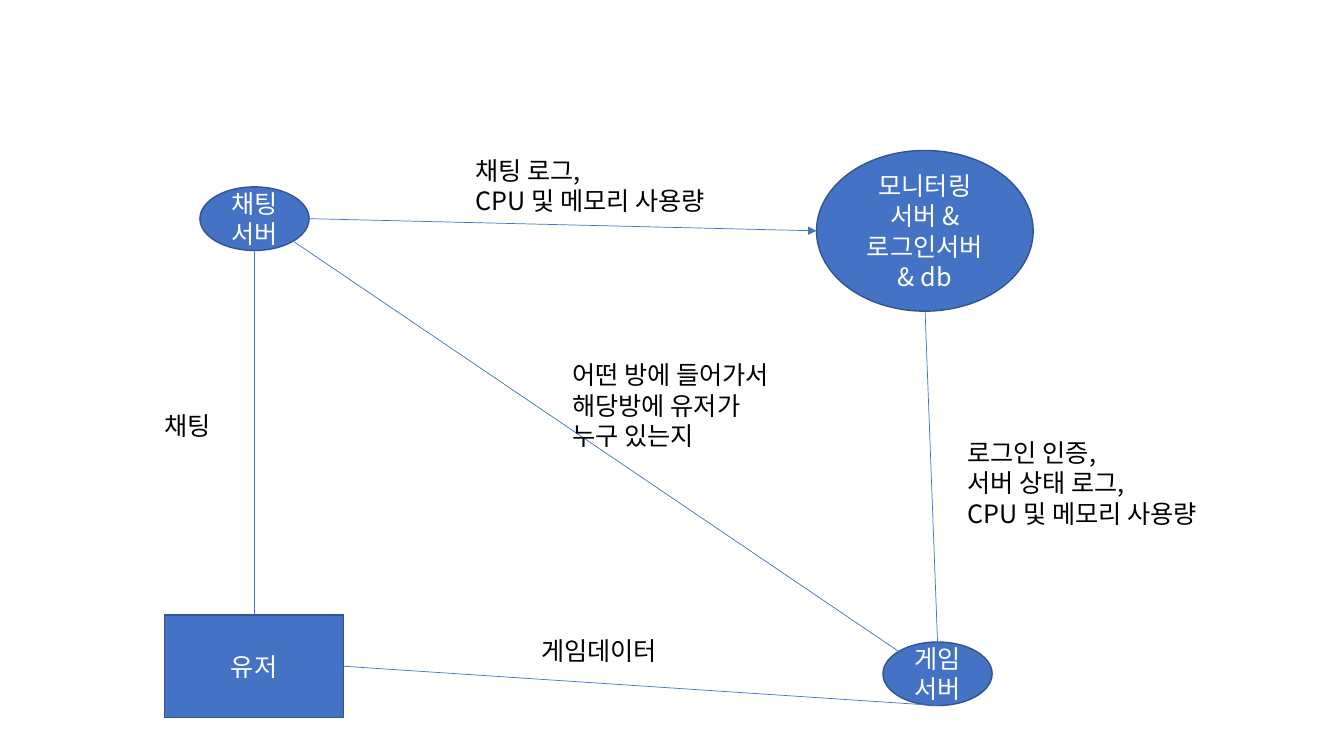
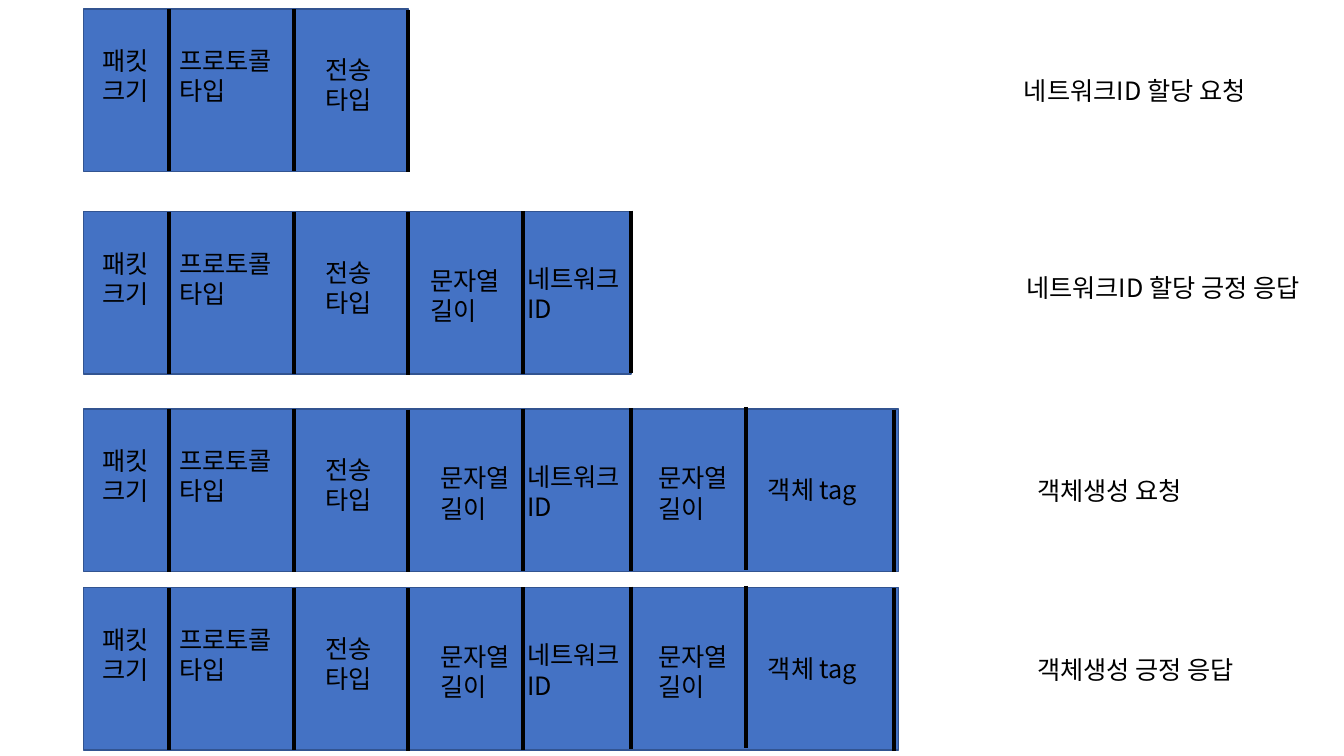
import pptx
import pptx.util
import pptx.dml.color
import pptx.enum.shapes
import pptx.enum.text
import pptx.oxml.ns
import lxml.etree

Pt = pptx.util.Pt
RGBColor = pptx.dml.color.RGBColor
MSO_SHAPE = pptx.enum.shapes.MSO_SHAPE
PP_ALIGN = pptx.enum.text.PP_ALIGN
MSO_ANCHOR = pptx.enum.text.MSO_ANCHOR
qn = pptx.oxml.ns.qn

BLUE = RGBColor(0x44, 0x72, 0xC4)
NAVY = RGBColor(0x32, 0x54, 0x91)
BLACK = RGBColor(0, 0, 0)
WHITE = RGBColor(255, 255, 255)
FONT = "Noto Sans CJK KR"

prs = pptx.Presentation()
prs.slide_width, prs.slide_height = Pt(960), Pt(540)
blank = prs.slide_layouts[6]


def add_text(s, text, x, y, w, h, kind=None):
    box = [Pt(v) for v in (x, y, w, h)]
    if kind is None:
        sp = s.shapes.add_textbox(*box)
    else:
        sp = s.shapes.add_shape(kind, *box)
        sp.shadow.inherit = False
        sp.fill.solid()
        sp.fill.fore_color.rgb = BLUE
        sp.line.color.rgb = NAVY
        sp.line.width = Pt(1)
    tf = sp.text_frame
    tf.word_wrap = True
    tf.vertical_anchor = MSO_ANCHOR.MIDDLE if kind else MSO_ANCHOR.TOP
    tf.text = text
    for p in tf.paragraphs:
        p.alignment = PP_ALIGN.CENTER if kind else PP_ALIGN.LEFT
        for r in p.runs:
            r.font.size = Pt(18)
            r.font.name = FONT
            r.font.color.rgb = WHITE if kind else BLACK
            lxml.etree.SubElement(r.font._element, qn("a:ea")).set("typeface", FONT)


def add_line(s, x1, y1, x2, y2, color, width, arrow=False):
    line = s.shapes.add_connector(
        pptx.enum.shapes.MSO_CONNECTOR.STRAIGHT, Pt(x1), Pt(y1), Pt(x2), Pt(y2))
    line.line.color.rgb = color
    line.line.width = Pt(width)
    if arrow:
        ln = line.line._get_or_add_ln()
        lxml.etree.SubElement(ln, qn("a:tailEnd")).set("type", "triangle")
    lxml.etree.SubElement(line._element.spPr, qn("a:effectLst"))


s = prs.slides.add_slide(blank)
nodes = [
    ("유저", 117.5, 439.2, 128, 73.4, MSO_SHAPE.RECTANGLE),
    ("모니터링 서버 & 로그인서버 & db", 583.2, 107.5, 154.8, 114.8, MSO_SHAPE.OVAL),
    ("채팅서버", 142.8, 133.5, 78, 45.4, MSO_SHAPE.OVAL),
    ("게임 서버", 630.7, 458.6, 78, 45.4, MSO_SHAPE.OVAL),
]
for node in nodes:
    add_text(s, *node)

links = [
    (181.5, 439.2, 181.5, 178.9, False),
    (669.7, 504, 245.5, 475.9, False),
    (669.7, 458.6, 660.8, 222.3, False),
    (220.8, 156.2, 583.2, 164.9, True),
    (209, 172, 642.2, 465.5, False),
]
for *ends, arrow in links:
    add_line(s, *ends, BLUE, 0.5, arrow)

captions = [
    ("어떤 방에 들어가서 해당방에 유저가 누구 있는지", 401.8, 253.4, 165.6, 72.7),
    ("채팅", 110.2, 289.4, 64, 29),
    ("게임데이터", 379.4, 450, 127.4, 29),
    ("로그인 인증,\n서버 상태 로그,\nCPU 및 메모리 사용량", 684, 308.9, 211.7, 72.7),
    ("채팅 로그,\nCPU 및 메모리 사용량", 332.6, 107.3, 211, 72.7),
]
for caption in captions:
    add_text(s, *caption)

s = prs.slides.add_slide(blank)
LEFT, ROW_H = 59.8, 116
fields = [
    ("패킷크기", 66.2, 22.3, 54.7, 51),
    ("프로토콜\n타입", 121, 22.3, 89.3, 51),
    ("전송타입", 225.4, 28.8, 58.3, 51),
    ("문자열길이", 307.4, 34.6, 73.4, 51),
    ("네트워크\nID", 369.6, 33.5, 100, 51),
    ("문자열길이", 463, 34.6, 73.4, 51),
    ("객체 tag", 541.4, 43.2, 100, 29),
]
dividers = [(121, 0), (210.2, 0), (291.6, 0.4), (373.7, -0.4),
            (450.7, -0.7), (532.8, -1.4), (638.6, 0.4)]
packets = [
    ("네트워크ID 할당 요청", 6.5, 3, 231.8, 724.3, 43.9, 0),
    ("네트워크ID 할당 긍정 응답", 151.2, 5, 391, 725.8, 39.6, -7.2),
    ("객체생성 요청", 292.3, 7, 581.8, 733.7, 43.9, 0),
    ("객체생성 긍정 응답", 419.8, 7, 581.8, 733.7, 43.9, 0),
]
for name, top, count, width, name_x, name_dy, length_dx in packets:
    add_text(s, "", LEFT, top, width, ROW_H, MSO_SHAPE.RECTANGLE)
    for x, dy in dividers[:count]:
        add_line(s, x, top + dy, x, top + dy + ROW_H, BLACK, 3)
    for i, (text, x, dy, w, h) in enumerate(fields[:count]):
        add_text(s, text, x + (length_dx if i == 3 else 0), top + dy, w, h)
    add_text(s, name, name_x, top + name_dy, 958 - name_x, 29)

prs.save("out.pptx")
